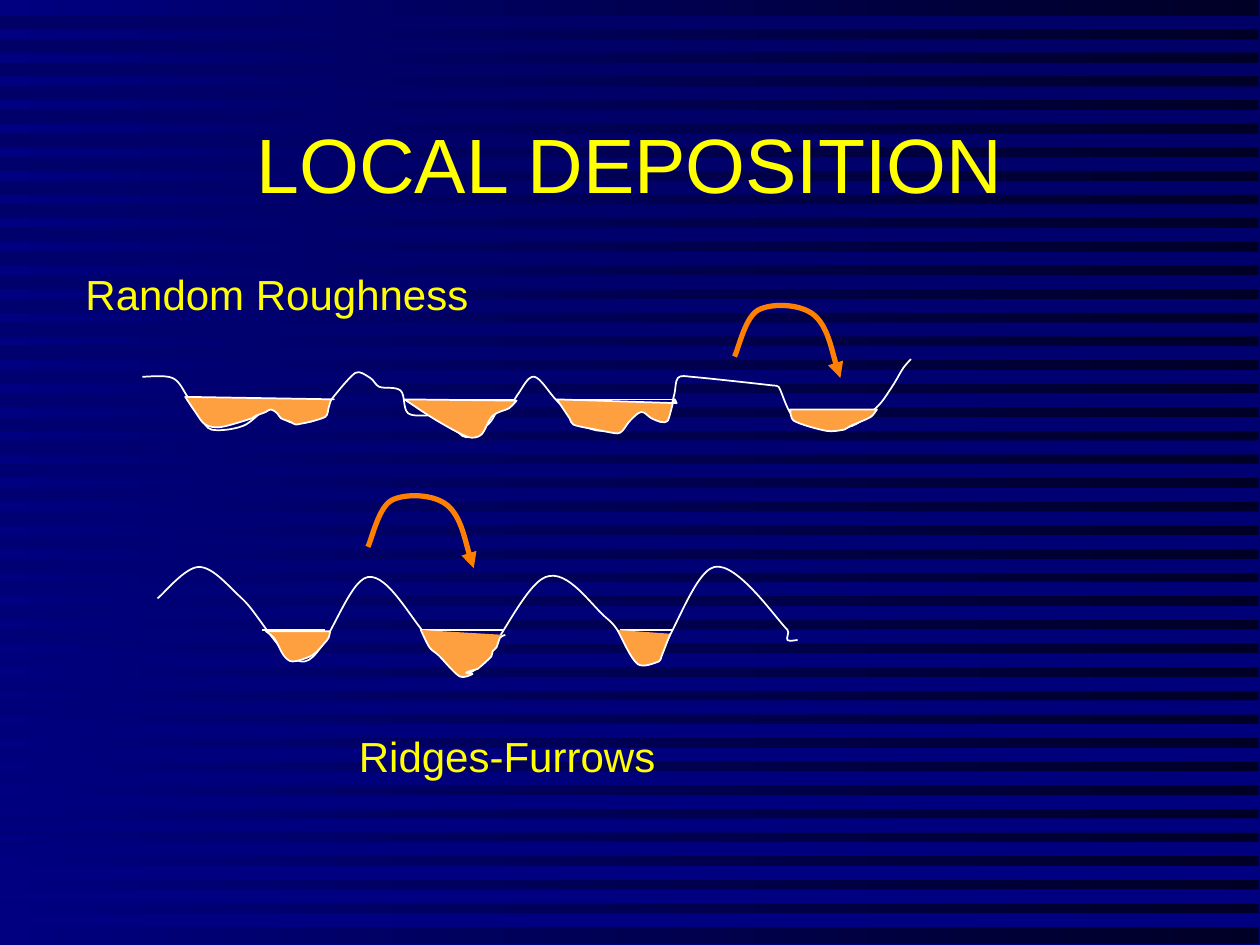
import math
import pptx
import pptx.dml.color
import pptx.enum.shapes
import pptx.enum.text
import pptx.util
import lxml.etree

colour = pptx.dml.color.RGBColor.from_string
DRAWING = "{http://schemas.openxmlformats.org/drawingml/2006/main}"

deck = pptx.Presentation()
deck.slide_width = pptx.util.Inches(10)
deck.slide_height = pptx.util.Inches(7.5)
WIDTH, HEIGHT = deck.slide_width, deck.slide_height
UNIT = WIDTH // 1000  # every place below is in thousandths of the slide's width
page = deck.slides.add_slide(deck.slide_layouts[5])
title = page.shapes.title


def write(text, box=None, place=(0, 0, 100, 50), size=24, ink="FFFF00", align="LEFT", anchor="TOP"):
    left, top, width, height = (UNIT * value for value in place)
    if box is None:
        box = page.shapes.add_textbox(left, top, width, height)
    box.left, box.top, box.width, box.height = left, top, width, height
    frame = box.text_frame
    frame.auto_size = pptx.enum.text.MSO_AUTO_SIZE.NONE
    frame.word_wrap = True
    frame.vertical_anchor = getattr(pptx.enum.text.MSO_ANCHOR, anchor)
    para = frame.paragraphs[0]
    para.alignment = getattr(pptx.enum.text.PP_ALIGN, align)
    span = para.add_run()
    span.text = text
    span.font.name = "Arial"
    span.font.size = pptx.util.Pt(size)
    span.font.color.rgb = colour(ink)


def draw_curve(points, ink="FFFFFF", weight=1, fill=None, closed=False):
    """Draw a smooth curve through the points; a closing side is straight."""
    knots = [(UNIT * x, UNIT * y) for x, y in points]
    last = len(knots) - 1
    builder = page.shapes.build_freeform(*knots[0])
    builder.add_line_segments(knots[1:], close=closed)
    shape = builder.convert_to_shape()
    # Bend each straight segment into a Bezier curve with two handles
    for index, segment in enumerate(list(shape.element.iter(DRAWING + "lnTo"))):
        chord = math.dist(knots[index], knots[index + 1])
        segment.tag = DRAWING + "cubicBezTo"
        for place, (knot, sign) in enumerate(((index, 1), (index + 1, -1))):
            before, after = knots[max(knot - 1, 0)], knots[min(knot + 1, last)]
            share = sign * min(1 / 6, chord / 3 / math.dist(before, after))
            x, y = (round(knots[knot][axis] + share * (after[axis] - before[axis]))
                    for axis in (0, 1))
            handle = lxml.etree.Element(DRAWING + "pt", x=str(x - shape.left),
                                        y=str(y - shape.top))
            segment.insert(place, handle)
    shape.shadow.inherit = False
    shape.line.color.rgb = colour(ink)
    shape.line.width = pptx.util.Pt(weight)
    if fill:
        shape.fill.solid()
        shape.fill.fore_color.rgb = colour(fill)
    else:
        shape.fill.background()
    return shape


# Striped backdrop
shade = page.shapes.add_shape(pptx.enum.shapes.MSO_SHAPE.RECTANGLE, 0, 0,
                              WIDTH - UNIT, HEIGHT - UNIT)
STRIPES, FIRST, PITCH, THICKNESS = 39, 12.5, 18.75, 10.5
outline = []
for row in range(STRIPES):
    top = round(UNIT * (FIRST + row * PITCH))
    bottom = round(top + UNIT * THICKNESS)
    outline += [(WIDTH, top), (0, top), (0, bottom), (WIDTH, bottom)]
builder = page.shapes.build_freeform(*outline[0])
builder.add_line_segments(outline[1:], close=True)
stripes = builder.convert_to_shape()

for shape in (shade, stripes):
    shape.shadow.inherit = False
    shape.line.fill.background()
for fill, first, angle in ((page.background.fill, "000066", 270),
                           (shade.fill, "000026", 180),
                           (stripes.fill, "000066", 270)):
    fill.gradient()
    fill.gradient_angle = angle
    for stop, ink in zip(fill.gradient_stops, (first, "000080")):
        stop.color.rgb = colour(ink)

# Title goes in front of the backdrop
page.shapes.element.append(title.element)
write("LOCAL DEPOSITION", box=title, place=(75, 67, 850, 125), size=44,
      align="CENTER", anchor="MIDDLE")

# Soil surfaces
rough_surface = [
    (113, 299), (137, 300), (149, 315), (159, 331), (168, 341), (193, 338), (215, 323),
    (230, 335), (249, 334), (255, 327), (282, 296), (294, 300), (301, 307), (318, 310),
    (324, 328), (344, 330), (351, 335), (359, 338), (370, 347), (386, 338), (390, 334),
    (396, 325), (404, 324), (411, 313), (424, 299), (442, 318), (462, 337), (477, 342),
    (491, 338), (499, 327), (507, 323), (527, 335), (535, 314), (538, 300), (548, 299),
    (614, 306), (618, 307), (634, 335), (673, 339), (696, 323), (708, 307), (717, 292),
    (723, 285)]
ridged_surface = [
    (125, 475), (158, 450), (192, 475), (242, 525), (292, 458), (342, 508), (375, 533),
    (433, 458), (483, 492), (517, 525), (567, 450), (625, 500), (625, 508), (633, 508)]
for surface in (rough_surface, ridged_surface):
    draw_curve(surface)

# Water levels
for left, right, level in ((150, 258, 317), (325, 408, 317), (442, 533, 317), (625, 692, 325),
                           (208, 258, 500), (333, 400, 500), (492, 533, 500)):
    water = page.shapes.add_connector(pptx.enum.shapes.MSO_CONNECTOR.STRAIGHT, UNIT * left,
                                      UNIT * level, UNIT * right, UNIT * level)
    water.line.color.rgb = colour("FFFFFF")
    water.line.width = pptx.util.Pt(1)
    lxml.etree.SubElement(water.element.spPr, DRAWING + "effectLst")

write("Random Roughness", place=(58, 208, 358, 50))
write("Ridges-Furrows", place=(275, 575, 367, 50))

# Sediment in the hollows: closed outline or not, then its bed
deposits = [
    (True, [(147, 315), (155, 327), (163, 337), (175, 339), (200, 332), (203, 330), (211, 327),
            (215, 325), (220, 328), (223, 332), (231, 335), (235, 337), (258, 331), (261, 323),
            (263, 317), (265, 317)]),
    (True, [(321, 317), (347, 334), (372, 347), (382, 345), (391, 330), (404, 324), (410, 318)]),
    (True, [(442, 317), (452, 332), (455, 337), (473, 341), (490, 344), (494, 342), (500, 334),
            (509, 327), (517, 332), (525, 335), (530, 334), (535, 317), (537, 320)]),
    (True, [(627, 325), (630, 334), (656, 342), (670, 341), (675, 338), (691, 331), (696, 325)]),
    (True, [(211, 501), (218, 507), (225, 520), (232, 525), (248, 520), (258, 510), (261, 506),
            (262, 501)]),
    (False, [(334, 500), (341, 514), (348, 520), (365, 537), (375, 535), (370, 534), (375, 532),
             (379, 531), (390, 521), (391, 517), (394, 514), (397, 506), (401, 504)]),
    (False, [(490, 500), (506, 527), (523, 525), (525, 521), (532, 503)])]
for closed, bed in deposits:
    draw_curve(bed, fill="FFA040", closed=closed)

# Splash arrows
arch = [(583, 283), (602, 246), (646, 250), (667, 300)]
for right, down in ((0, 0), (-291, 151)):
    arrow = draw_curve([(x + right, y + down) for x, y in arch], ink="FF8000", weight=3)
    lxml.etree.SubElement(arrow.line._get_or_add_ln(), DRAWING + "tailEnd", type="triangle")

deck.save("out.pptx")
